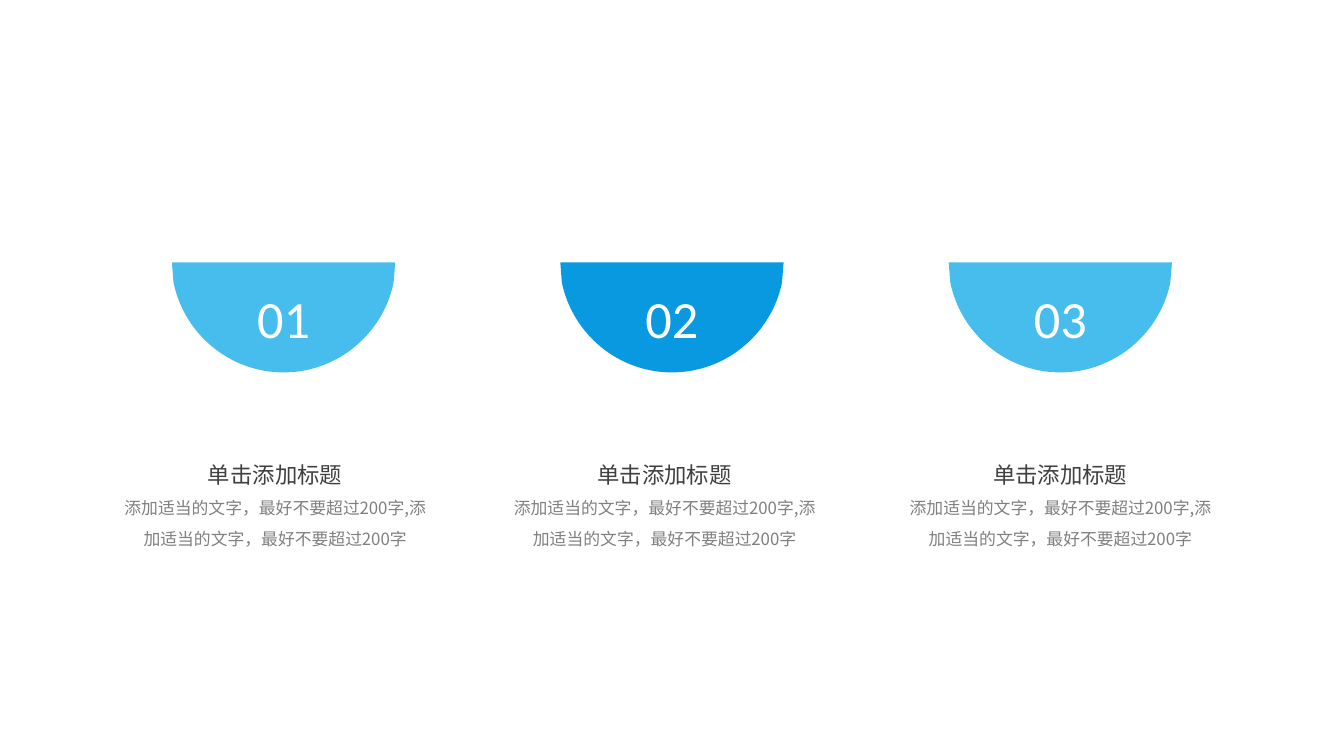
"""Build a slide of three numbered half-discs with captions."""
from dataclasses import dataclass

from lxml.etree import Element, SubElement
from pptx import Presentation
from pptx.dml.color import RGBColor
from pptx.enum.text import MSO_ANCHOR, PP_ALIGN
from pptx.oxml.ns import qn
from pptx.shapes.autoshape import Shape
from pptx.slide import Slide
from pptx.text.text import TextFrame
from pptx.util import Cm, Pt


@dataclass(frozen=True)
class TextStyle:
    font: str
    size: float
    color: str
    line_spacing: float = 1.0


@dataclass(frozen=True)
class Theme:
    light: str = "47BDEE"
    strong: str = "0899E1"
    number: TextStyle = TextStyle("Calibri", 28, "FFFFFF")
    heading: TextStyle = TextStyle("Noto Sans CJK SC", 12, "404040")
    body: TextStyle = TextStyle("Noto Sans CJK SC", 9, "808080", 1.5)


@dataclass(frozen=True)
class Step:
    number: str
    fill: str
    caption_left: float


THEME = Theme()
STEPS = (
    Step("01", THEME.light, 2.05),
    Step("02", THEME.strong, 9.41),
    Step("03", THEME.light, 16.89),
)
HEADING = "单击添加标题"
BODY = "添加适当的文字，最好不要超过200字,添加适当的文字，最好不要超过200字"
FIRST_CENTER, PITCH, DISC_TOP = 5.36, 7.34, 4.96
HALF_WIDTH, DEPTH = 2.11, 2.08
SHOULDER_X, SHOULDER_Y = 2.08, 0.38
UPPER_HANDLE, LOWER_HANDLE = (1.88, 1.35), (1.02, DEPTH)


def write(frame: TextFrame, lines: list[tuple[str, TextStyle]]) -> None:
    frame.word_wrap = True
    frame.vertical_anchor = MSO_ANCHOR.MIDDLE
    for index, (wording, style) in enumerate(lines):
        paragraph = frame.add_paragraph() if index else frame.paragraphs[0]
        layout = {"alignment": PP_ALIGN.CENTER, "line_spacing": style.line_spacing}
        for name, value in layout.items():
            setattr(paragraph, name, value)
        run = paragraph.add_run()
        run.text = wording
        for name, value in {"name": style.font, "size": Pt(style.size)}.items():
            setattr(run.font, name, value)
        run.font.color.rgb = RGBColor.from_string(style.color)
        SubElement(run.font._element, qn("a:ea"), typeface=style.font)


def round_bowl(half_disc: Shape) -> None:
    """Turn the two lower edges of the outline into Bézier curves."""
    lower_edges = list(half_disc._element.iter(qn("a:lnTo")))[2:4]
    handles = (
        (UPPER_HANDLE, LOWER_HANDLE),
        tuple((-x, y) for x, y in (LOWER_HANDLE, UPPER_HANDLE)),
    )
    for edge, pair in zip(lower_edges, handles):
        curve = Element(qn("a:cubicBezTo"))
        for x, y in pair:
            place = {"x": str(Cm(HALF_WIDTH + x)), "y": str(Cm(y))}
            SubElement(curve, qn("a:pt"), place)
        curve.append(edge[0])
        edge.getparent().replace(edge, curve)


def draw_half_disc(slide: Slide, step: Step, center: float) -> None:
    corners = (
        (-HALF_WIDTH, 0),
        (HALF_WIDTH, 0),
        (SHOULDER_X, SHOULDER_Y),
        (0, DEPTH),
        (-SHOULDER_X, SHOULDER_Y),
    )
    outline = [(Cm(center + x), Cm(DISC_TOP + y)) for x, y in corners]
    builder = slide.shapes.build_freeform(*outline[0])
    builder.add_line_segments(outline[1:], close=False)
    builder.add_line_segments([], close=True)
    half_disc = builder.convert_to_shape()
    round_bowl(half_disc)
    half_disc.shadow.inherit = False
    half_disc.fill.solid()
    half_disc.fill.fore_color.rgb = RGBColor.from_string(step.fill)
    half_disc.line.fill.background()
    write(half_disc.text_frame, [(step.number, THEME.number)])


def draw_caption(slide: Slide, step: Step) -> None:
    caption = slide.shapes.add_textbox(
        Cm(step.caption_left), Cm(7.74), Cm(6.3), Cm(3.61)
    )
    write(caption.text_frame, [(HEADING, THEME.heading), (BODY, THEME.body)])


def main() -> None:
    presentation = Presentation()
    size = {"slide_width": Cm(25.4), "slide_height": Cm(14.29)}
    for name, value in size.items():
        setattr(presentation, name, value)
    slide = presentation.slides.add_slide(presentation.slide_layouts[6])
    for index, step in enumerate(STEPS):
        draw_half_disc(slide, step, FIRST_CENTER + index * PITCH)
    for step in STEPS:
        draw_caption(slide, step)
    presentation.save("out.pptx")


if __name__ == "__main__":
    main()
